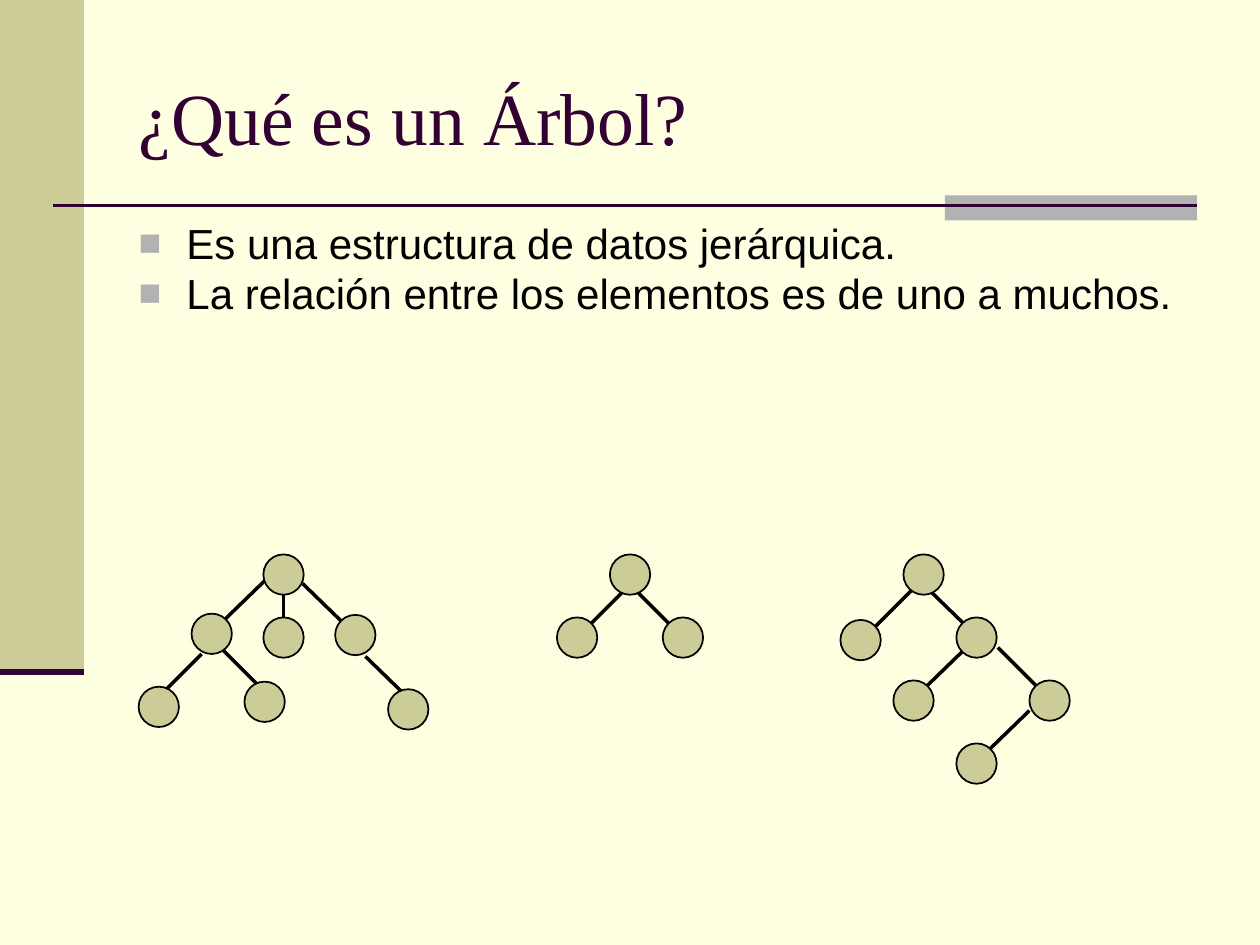
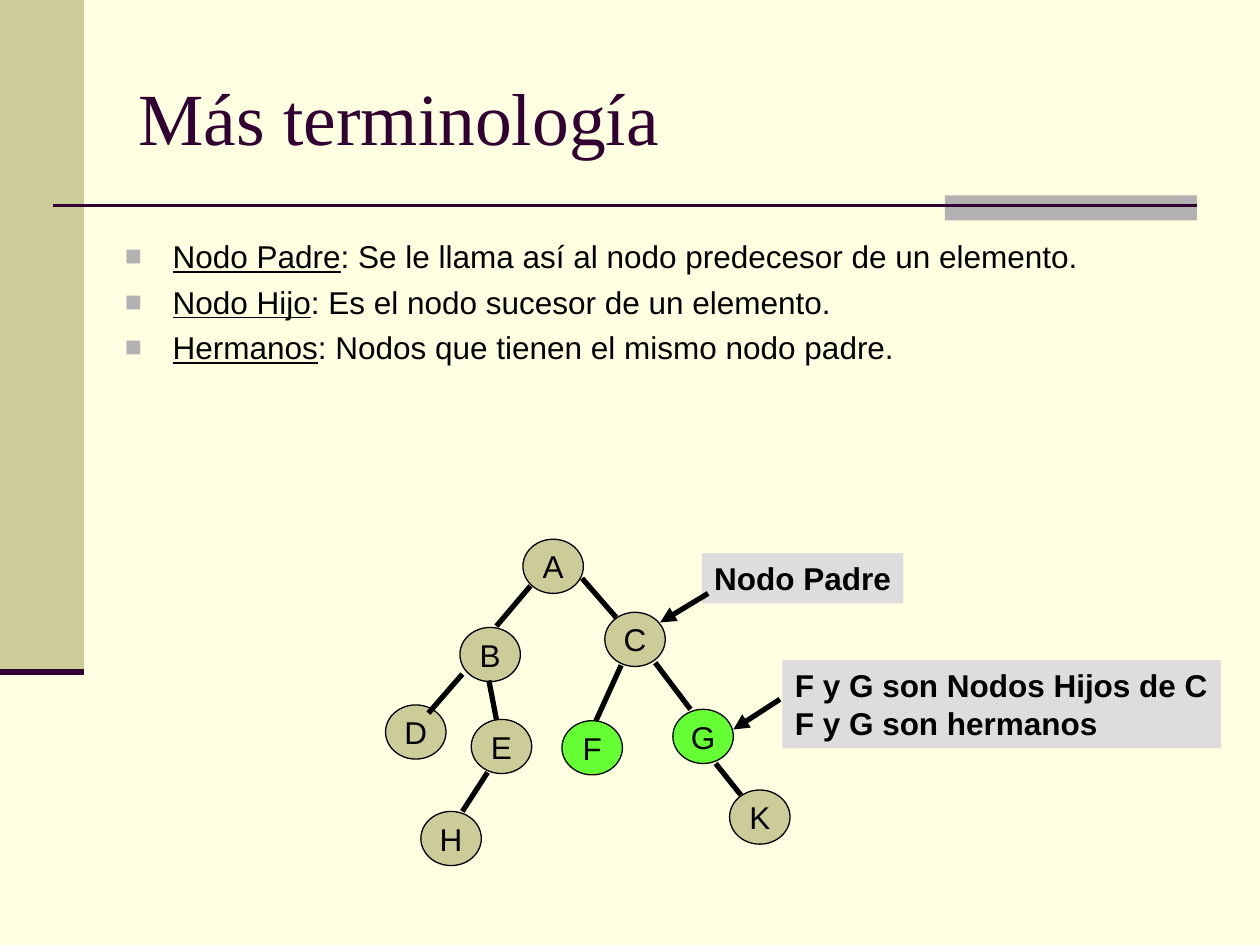
from dataclasses import dataclass
from typing import NamedTuple

import lxml.etree
import pptx
import pptx.dml.color
import pptx.enum.shapes
import pptx.enum.text
import pptx.oxml
import pptx.oxml.ns
import pptx.util

RGBColor = pptx.dml.color.RGBColor
CREAM = RGBColor(0xFF, 0xFF, 0xE1)
KHAKI = RGBColor(0xCC, 0xCC, 0x99)
GREY = RGBColor(0xB2, 0xB2, 0xB2)
LIGHT_GREY = RGBColor(0xDD, 0xDD, 0xDD)
PLUM = RGBColor(0x33, 0x00, 0x33)
GREEN = RGBColor(0x66, 0xFF, 0x33)
BLACK = RGBColor(0x00, 0x00, 0x00)

TITLE_FONT = "Times New Roman"
BODY_FONT = "Arial"
COLUMNS, ROWS = 100, 75
CELL = pptx.util.Inches(0.1)
RECTANGLE = pptx.enum.shapes.MSO_SHAPE.RECTANGLE
OVAL = pptx.enum.shapes.MSO_SHAPE.OVAL


class Area(NamedTuple):
    column: float
    row: float
    columns: float
    rows: float


class Edge(NamedTuple):
    column: float
    row: float
    end_column: float
    end_row: float


class Node(NamedTuple):
    column: float
    row: float
    letter: str = ""
    fill: RGBColor = KHAKI


class NodeStyle(NamedTuple):
    columns: float
    rows: float
    outline: float


class Callout(NamedTuple):
    area: Area
    lines: list[str]
    arrow: Edge


class Span(NamedTuple):
    text: str
    underline: bool = False


@dataclass
class BulletList:
    area: Area
    size: float
    space_before: float
    line_spacing: float
    items: list[list[Span]]


TITLE_AREA = Area(10, 3, 85, 12.5)

TREE_LIST = BulletList(Area(10, 17.5, 85, 18.4), 24, 6, 0.8, [
    [Span("Es una estructura de datos jerárquica.")],
    [Span("La relación entre los elementos es de uno a muchos.")],
])
SMALL_NODE = NodeStyle(3.2, 3.2, 1)
SMALL_NODES = [
    Node(22.5, 45.6), Node(16.8, 50.3), Node(22.5, 50.6), Node(28.2, 50.4),
    Node(12.6, 56.1), Node(21, 55.7), Node(32.4, 56.3),
    Node(50, 45.6), Node(45.8, 50.6), Node(54.2, 50.6),
    Node(73.3, 45.6), Node(68.3, 50.8), Node(77.5, 50.6),
    Node(72.5, 55.6), Node(83.3, 55.6), Node(77.5, 60.6),
]
SMALL_EDGES = [
    Edge(17.6, 49.4, 21, 46.1), Edge(22.5, 50.6, 22.5, 47.2),
    Edge(27.4, 49.6, 24, 46.3), Edge(12.6, 55.3, 16, 51.9),
    Edge(21.8, 55.7, 17.6, 51.5), Edge(32.4, 55.4, 29, 52.1),
    Edge(46.7, 49.7, 50, 46.4), Edge(53.3, 49.7, 50, 46.4),
    Edge(69.2, 50, 72.5, 46.7), Edge(76.7, 49.7, 73.3, 46.4),
    Edge(73.3, 54.7, 76.7, 51.4), Edge(82.5, 54.7, 79.2, 51.4),
    Edge(78.3, 59.7, 81.7, 56.4),
]

TERM_LIST = BulletList(Area(8.9, 18.3, 83.8, 21.1), 18, 4.5, 1, [
    [Span("Nodo Padre", True),
     Span(": Se le llama así al nodo predecesor de un elemento.")],
    [Span("Nodo Hijo", True), Span(": Es el nodo sucesor de un elemento.")],
    [Span("Hermanos", True), Span(": Nodos que tienen el mismo nodo padre.")],
])
LETTER_NODE = NodeStyle(4.8, 4.3, 0.75)
LETTER_NODES = [
    Node(43.9, 44.95, "A"), Node(38.9, 51.95, "B"), Node(50.4, 50.75, "C"),
    Node(33, 58.1, "D"), Node(39.8, 59.25, "E"), Node(35.8, 66.55, "H"),
    Node(47, 59.35, "F", GREEN), Node(55.8, 58.45, "G", GREEN),
    Node(60.3, 64.85, "K"),
]
LETTER_EDGES = [
    Edge(42.1, 46.5, 39.4, 49.7), Edge(46.2, 45.9, 48.9, 49),
    Edge(36.7, 53.5, 34, 56.6), Edge(38.8, 54, 39.4, 57.1),
    Edge(49.3, 52.8, 47.3, 57.2), Edge(52, 52.6, 54.8, 56.3),
    Edge(38.7, 61.3, 36.7, 64.4), Edge(56.8, 60.6, 58.8, 63.1),
]
CALLOUTS = [
    Callout(Area(55.7, 43.9, 16, 4), ["Nodo Padre"],
            Edge(56.2, 47.1, 52.4, 49.4)),
    Callout(Area(62.1, 52.4, 34.8, 7),
            ["F y G son Nodos Hijos de C", "F y G son hermanos"],
            Edge(61.9, 55.5, 58.2, 57.9)),
]


def grid(*cells: float) -> list[int]:
    return [round(cell * CELL) for cell in cells]


def add_xml(parent, tag: str, **attributes: str):
    child = lxml.etree.SubElement(parent, pptx.oxml.ns.qn(tag))
    for name, value in attributes.items():
        child.set(name, value)
    return child


def add_span(para, text: str, size: float, color: RGBColor = BLACK,
             font: str = BODY_FONT, bold: bool = False,
             underline: bool = False) -> None:
    span = para.add_run()
    span.text = text
    span.font.name = font
    span.font.size = pptx.util.Pt(size)
    span.font.color.rgb = color
    span.font.bold = bold
    span.font.underline = underline


def add_filled(page, kind, area: Area, fill: RGBColor, outline: float = 0):
    shape = page.shapes.add_shape(kind, *grid(*area))
    shape.shadow.inherit = False
    shape.fill.solid()
    shape.fill.fore_color.rgb = fill
    if outline:
        shape.line.color.rgb = BLACK
        shape.line.width = pptx.util.Pt(outline)
    else:
        shape.line.fill.background()
    return shape


def add_edge(page, edge: Edge, width: float, color: RGBColor = BLACK,
             arrow: bool = False):
    line = page.shapes.add_connector(
        pptx.enum.shapes.MSO_CONNECTOR.STRAIGHT, *grid(*edge))
    line.line.color.rgb = color
    line.line.width = pptx.util.Pt(width)
    if arrow:
        add_xml(line.line._get_or_add_ln(), "a:tailEnd", type="triangle")
    add_xml(line.element.spPr, "a:effectLst")
    return line


def add_node(page, node: Node, style: NodeStyle) -> None:
    area = Area(node.column - style.columns / 2, node.row - style.rows / 2,
                style.columns, style.rows)
    shape = add_filled(page, OVAL, area, node.fill, style.outline)
    if node.letter:
        frame = shape.text_frame
        frame.margin_left = frame.margin_right = 0
        frame.margin_top = frame.margin_bottom = 0
        frame.word_wrap = False
        para = frame.paragraphs[0]
        para.alignment = pptx.enum.text.PP_ALIGN.CENTER
        add_span(para, node.letter, 18)


def add_callout(page, callout: Callout) -> None:
    shape = add_filled(page, RECTANGLE, callout.area, LIGHT_GREY)
    frame = shape.text_frame
    frame.word_wrap = False
    frame.vertical_anchor = pptx.enum.text.MSO_ANCHOR.TOP
    for index, line in enumerate(callout.lines):
        para = frame.add_paragraph() if index else frame.paragraphs[0]
        para.alignment = pptx.enum.text.PP_ALIGN.LEFT
        add_span(para, line, 18, bold=True)
    add_edge(page, callout.arrow, 3, arrow=True)


def place(holder, area: Area, anchor):
    holder.left, holder.top, holder.width, holder.height = grid(*area)
    frame = holder.text_frame
    frame.word_wrap = True
    frame.auto_size = pptx.enum.text.MSO_AUTO_SIZE.NONE
    frame.vertical_anchor = anchor
    return frame


def set_bullet(para) -> None:
    properties = para._p.get_or_add_pPr()
    indent = pptx.util.Inches(0.38)
    properties.set("marL", str(indent))
    properties.set("indent", str(-indent))
    color = add_xml(properties, "a:buClr")
    add_xml(color, "a:srgbClr", val=str(GREY))
    add_xml(properties, "a:buSzPct", val="90000")
    add_xml(properties, "a:buFont", typeface=BODY_FONT)
    add_xml(properties, "a:buChar", char="■")


def add_page(deck, title: str, bullets: BulletList):
    page = deck.slides.add_slide(deck.slide_layouts[1])
    frame = place(page.shapes.title, TITLE_AREA,
                  pptx.enum.text.MSO_ANCHOR.MIDDLE)
    para = frame.paragraphs[0]
    para.alignment = pptx.enum.text.PP_ALIGN.LEFT
    add_span(para, title, 42, PLUM, TITLE_FONT)

    frame = place(page.placeholders[1], bullets.area,
                  pptx.enum.text.MSO_ANCHOR.TOP)
    for index, item in enumerate(bullets.items):
        para = frame.add_paragraph() if index else frame.paragraphs[0]
        para.line_spacing = bullets.line_spacing
        para.space_before = pptx.util.Pt(bullets.space_before)
        set_bullet(para)
        for span in item:
            add_span(para, span.text, bullets.size, underline=span.underline)
    return page


def decorate_master(deck, page) -> None:
    master = deck.slide_master
    master.background.fill.solid()
    master.background.fill.fore_color.rgb = CREAM
    bands = [
        add_filled(page, RECTANGLE, Area(0, 0, 6.67, 53.3), KHAKI),
        add_filled(page, RECTANGLE, Area(75, 15.5, 20, 2), GREY),
        add_edge(page, Edge(4.2, 16.3, 95, 16.3), 1.5, PLUM),
        add_edge(page, Edge(0, 53.3, 6.67, 53.3), 3.5, PLUM),
    ]
    for band in bands:
        master.shapes.element.append(band.element)


def main() -> None:
    deck = pptx.Presentation()
    deck.slide_width, deck.slide_height = grid(COLUMNS, ROWS)

    page = add_page(deck, "¿Qué es un Árbol?", TREE_LIST)
    decorate_master(deck, page)
    for edge in SMALL_EDGES:
        add_edge(page, edge, 2)
    for node in SMALL_NODES:
        add_node(page, node, SMALL_NODE)

    page = add_page(deck, "Más terminología", TERM_LIST)
    for node in LETTER_NODES:
        add_node(page, node, LETTER_NODE)
    for edge in LETTER_EDGES:
        add_edge(page, edge, 3)
    for callout in CALLOUTS:
        add_callout(page, callout)

    deck.save("out.pptx")


if __name__ == "__main__":
    main()
